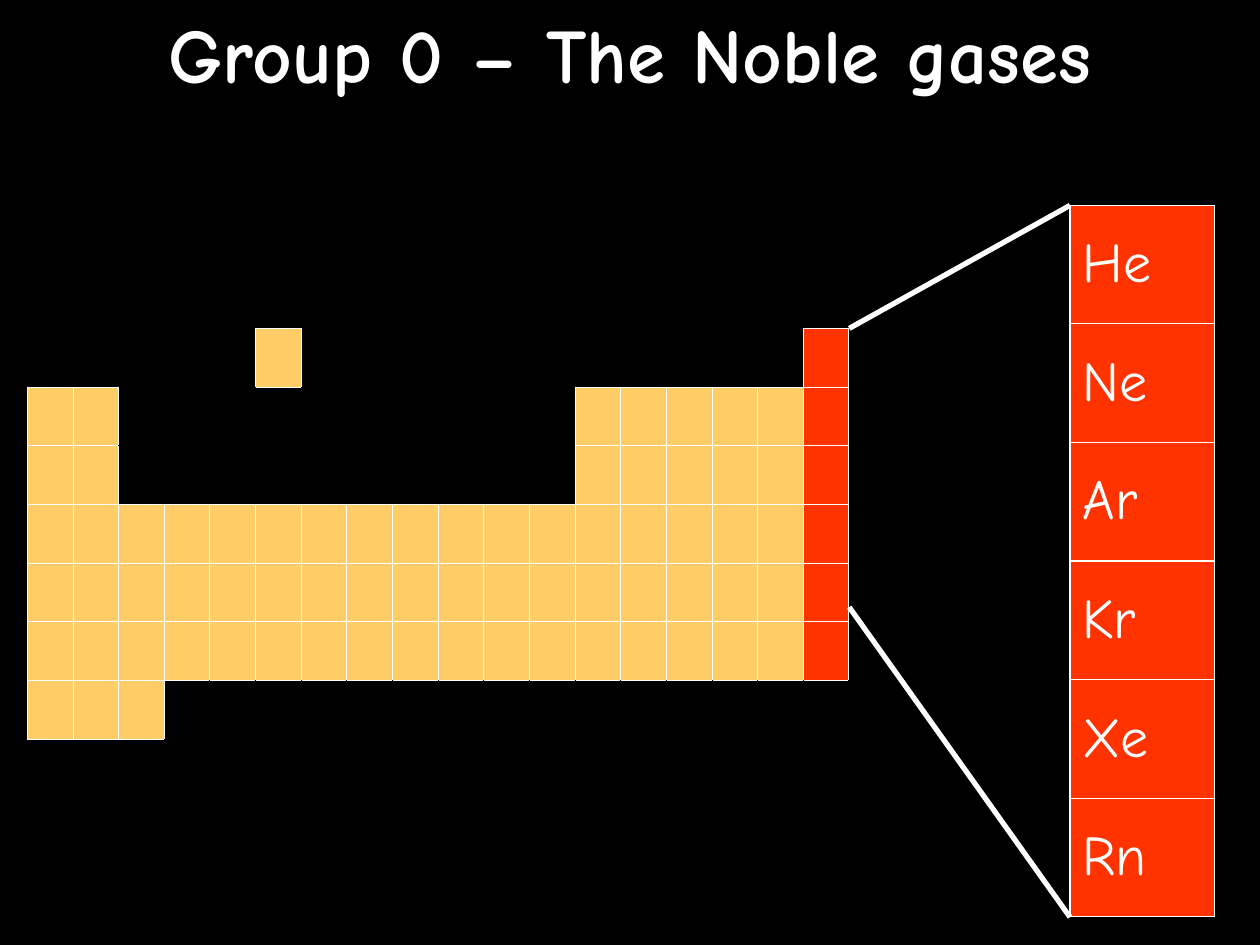
from lxml.etree import SubElement
from pptx import Presentation
from pptx.dml.color import RGBColor
from pptx.enum.shapes import MSO_CONNECTOR
from pptx.enum.text import MSO_ANCHOR, PP_ALIGN
from pptx.oxml.ns import qn
from pptx.util import Cm, Pt

COLORS = {"black": "000000", "white": "FFFFFF", "element": "FFCC66", "noble": "FF3300"}
FONT = "Comic Neue"
TITLE = {"name": FONT, "size": Pt(44), "bold": True}
SYMBOL = {"name": FONT, "size": Pt(32), "bold": False}

# Outline of the periodic table: e = element, n = noble gas, . = empty
PERIODS = [
    "." * 5 + "e" + "." * 11 + "n",
    "ee" + "." * 10 + "eeeeen",
    "ee" + "." * 10 + "eeeeen",
    "e" * 17 + "n",
    "e" * 17 + "n",
    "e" * 17 + "n",
    "eee" + "." * 15,
]
FILLS = {"e": "element", "n": "noble", ".": "black"}
NOBLE_GASES = ["He", "Ne", "Ar", "Kr", "Xe", "Rn"]
SIDES = {"L": (0, -1), "R": (0, 1), "T": (-1, 0), "B": (1, 0)}


def rgb(name):
    return RGBColor.from_string(COLORS[name])


def write(p, text, fmt):
    r = p.add_run()
    r.text = text
    for key, value in fmt.items():
        setattr(r.font, key, value)
    r.font.color.rgb = rgb("white")


def add_title(s, text):
    tf = s.shapes.add_textbox(0, 0, Cm(25.4), Cm(2.11)).text_frame
    tf.word_wrap = True
    tf.vertical_anchor = MSO_ANCHOR.MIDDLE
    tf.paragraphs[0].alignment = PP_ALIGN.CENTER
    write(tf.paragraphs[0], text, TITLE)


def add_grid(s, rows, cols, left, top, cell_w, cell_h):
    table = s.shapes.add_table(rows, cols, Cm(left), Cm(top),
                               Cm(cell_w * cols), Cm(cell_h * rows)).table
    table.first_row = table.horz_banding = False
    for col in table.columns:
        col.width = Cm(cell_w)
    for row in table.rows:
        row.height = Cm(cell_h)
    return table


def style_cell(cell, fill, borders, width):
    # Borders come before the fill in the cell properties
    tcPr = cell._tc.get_or_add_tcPr()
    for side, color in borders.items():
        ln = SubElement(tcPr, qn(f"a:ln{side}"), w=str(Pt(width)))
        SubElement(SubElement(ln, qn("a:solidFill")), qn("a:srgbClr"), val=COLORS[color])
    cell.fill.solid()
    cell.fill.fore_color.rgb = rgb(fill)


def is_filled(row, col):
    return (0 <= row < len(PERIODS) and 0 <= col < len(PERIODS[0])
            and PERIODS[row][col] != ".")


def add_periodic_table(s):
    table = add_grid(s, len(PERIODS), len(PERIODS[0]), 0.55, 6.62, 0.92, 0.94)
    for i, period in enumerate(PERIODS):
        for j, kind in enumerate(period):
            # An edge is white where it touches an element
            borders = {side: "white" if is_filled(i, j) or is_filled(i + di, j + dj) else "black"
                       for side, (di, dj) in SIDES.items()}
            cell = table.cell(i, j)
            cell.margin_top = cell.margin_bottom = Cm(0.21)
            style_cell(cell, FILLS[kind], borders, 0.45)


def add_noble_gases(s):
    table = add_grid(s, len(NOBLE_GASES), 1, 21.57, 4.14, 2.92, 2.39)
    for i, symbol in enumerate(NOBLE_GASES):
        cell = table.cell(i, 0)
        cell.vertical_anchor = MSO_ANCHOR.MIDDLE
        style_cell(cell, "noble", dict.fromkeys(SIDES, "white"), 0.75)
        write(cell.text_frame.paragraphs[0], symbol, SYMBOL)


def add_line(s, x1, y1, x2, y2):
    sp = s.shapes.add_connector(MSO_CONNECTOR.STRAIGHT, Cm(x1), Cm(y1), Cm(x2), Cm(y2))
    sp.line.color.rgb = rgb("white")
    sp.line.width = Pt(3)
    SubElement(sp._element.spPr, qn("a:effectLst"))


def main():
    prs = Presentation()
    prs.slide_width, prs.slide_height = Cm(25.4), Cm(19.05)
    s = prs.slides.add_slide(prs.slide_layouts[6])
    s.background.fill.solid()
    s.background.fill.fore_color.rgb = rgb("black")

    add_title(s, "Group 0 – The Noble gases")
    add_periodic_table(s)
    add_noble_gases(s)

    # Lines that enlarge the last group
    add_line(s, 17.12, 6.62, 21.57, 4.14)
    add_line(s, 17.12, 12.24, 21.57, 18.49)

    prs.save("out.pptx")


if __name__ == "__main__":
    main()
